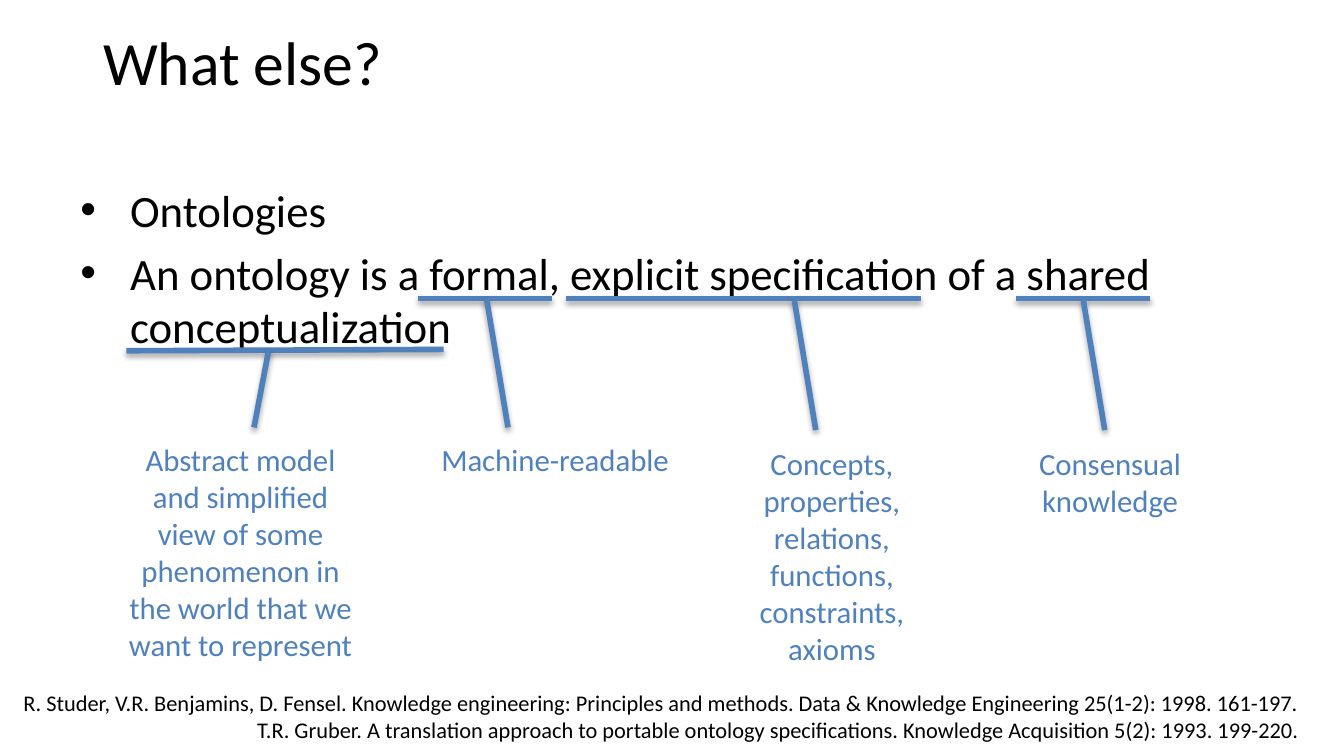
from lxml import etree
from pptx import Presentation, util as u
from pptx.dml import color
from pptx.enum import shapes, text
from pptx.oxml import ns

Inches, Pt = u.Inches, u.Pt
HUES = {"ink": "000000", "blue": "4F81BD"}
AL = text.PP_ALIGN

deck = Presentation()
deck.slide_width = Inches(10)
deck.slide_height = Inches(10) * 9 // 16
slide = deck.slides.add_slide(deck.slide_layouts[6])


def add_text(area, paras, size, hue="ink", align=AL.LEFT):
    box = slide.shapes.add_textbox(*[Inches(n) for n in area])
    frame = box.text_frame
    frame.word_wrap = True
    for i, words in enumerate(paras):
        para = frame.add_paragraph() if i else frame.paragraphs[0]
        para.text = words
        para.alignment = align
        for run in para.runs:
            run.font.name = "Calibri"
            run.font.size = Pt(size)
            run.font.color.rgb = color.RGBColor.from_string(HUES[hue])
    return frame


def add_line(x1, y1, x2, y2):
    line = slide.shapes.add_connector(
        shapes.MSO_CONNECTOR.STRAIGHT, *[Inches(n) for n in (x1, y1, x2, y2)])
    line.line.width = Pt(3)
    line.line.color.rgb = color.RGBColor.from_string(HUES["blue"])
    fx = etree.SubElement(line._element.spPr, ns.qn("a:effectLst"))
    glow = etree.SubElement(fx, ns.qn("a:outerShdw"), blurRad=str(Pt(3.1)),
                            dist=str(Pt(1.8)), dir="5400000", rotWithShape="0")
    tint = etree.SubElement(glow, ns.qn("a:srgbClr"), val=HUES["ink"])
    etree.SubElement(tint, ns.qn("a:alpha"), val="35000")


title = add_text((0.67, -0.02, 9, 0.94), ["What else?"], 33)
title.vertical_anchor = text.MSO_ANCHOR.MIDDLE

body = add_text((0.5, 1.31, 9, 3.71), [
    "Ontologies",
    "An ontology is a formal, explicit specification of a shared conceptualization",
], 24)
for para in body.paragraphs:
    props = para._p.get_or_add_pPr()
    props.set("marL", str(Inches(0.37)))
    props.set("indent", str(Inches(-0.37)))
    etree.SubElement(props, ns.qn("a:buFont"), typeface="Arial")
    etree.SubElement(props, ns.qn("a:buChar"), char="•")
body.paragraphs[1].space_before = Pt(4.8)

notes = [
    (0.81, 3.23, 1.77, "Abstract model and simplified view of some phenomenon "
                       "in the world that we want to represent"),
    (3.15, 3.23, 0.38, "Machine-readable"),
    (5.21, 3.26, 1.77, "Concepts, properties, relations, functions, constraints, axioms"),
    (7.28, 3.26, 0.66, "Consensual knowledge"),
]
for left, top, height, words in notes:
    add_text((left, top, 1.96, height), [words], 16.5, "blue", AL.CENTER)

rules = [(0.94, 2.61, 3.3, 2.6), (3.11, 2.22, 4.11, 2.22),
         (4.21, 2.22, 6.85, 2.22), (7.56, 2.22, 8.56, 2.22)]
stems = [(2, 2.6, 1.89, 3.18), (3.62, 2.22, 3.78, 3.18),
         (5.91, 2.23, 6.07, 3.2), (8.06, 2.23, 8.22, 3.2)]
for ends in rules + stems:
    add_line(*ends)

add_text((0, 5.08, 9.77, 0.71), [
    "R. Studer, V.R. Benjamins, D. Fensel. Knowledge engineering: Principles and "
    "methods. Data & Knowledge Engineering 25(1-2): 1998. 161-197.\n"
    "T.R. Gruber. A translation approach to portable ontology specifications. "
    "Knowledge Acquisition 5(2): 1993. 199-220.",
], 12, align=AL.RIGHT)

deck.save("out.pptx")
